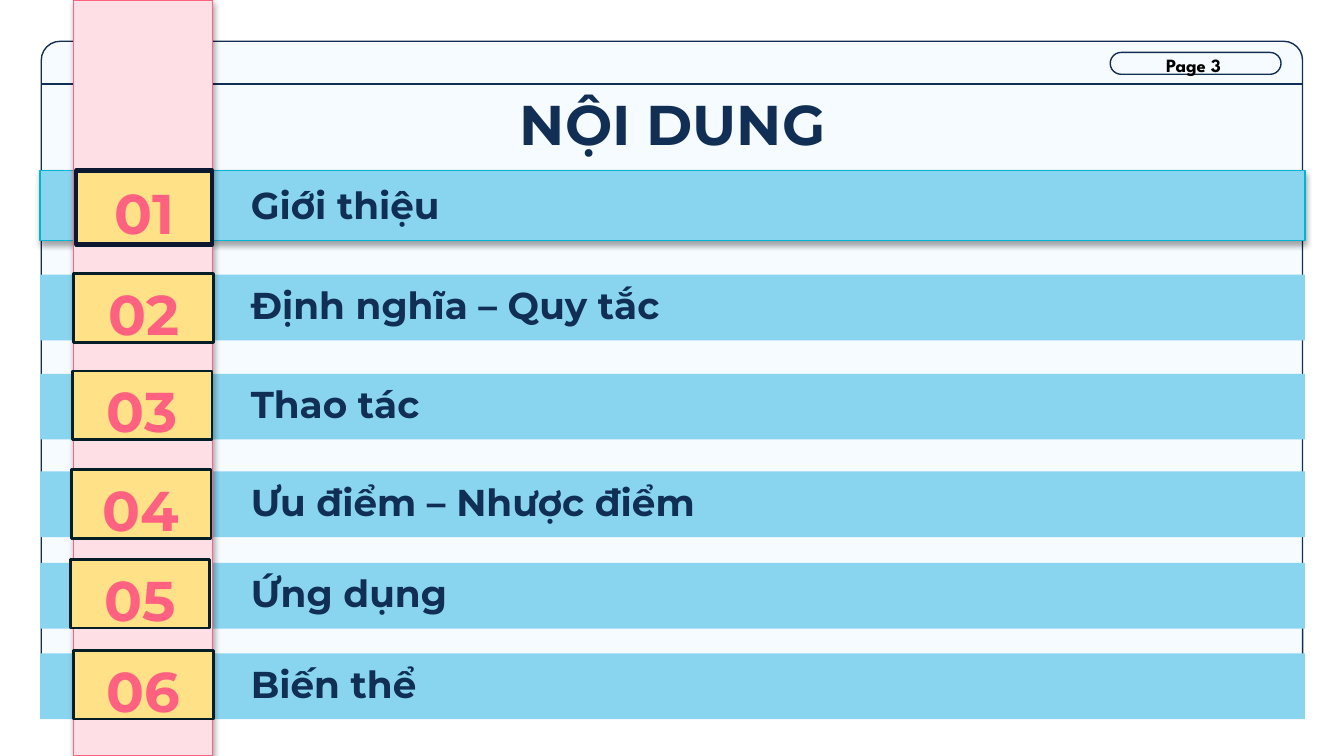
from lxml import etree
from pptx import Presentation
from pptx.enum import shapes, text
from pptx.dml.color import RGBColor
from pptx.oxml.ns import qn
from pptx.util import Pt

COLORS = {
    "paper": "F5FBFF", "navy": "112E54", "bar": "89D5EF", "teal": "00B4D3",
    "ribbon": "FFDFE6", "pink": "FF6180", "tag": "FFE188",
    "tag_edge": "051D25", "first_edge": "0B1830", "black": "000000",
}
SECTIONS = [
    ("01", "Giới thiệu", 91.5, 37.5, (40.9, 91.4, 72.8, 39.6)),
    ("02", "Định nghĩa – Quy tắc", 147.2, 35.2, (39.6, 146.7, 74.9, 36.7)),
    ("03", "Thao tác", 200.3, 35.2, (38.7, 198.8, 74.9, 36.7)),
    ("04", "Ưu điểm – Nhược điểm", 252.6, 35.2, (38.2, 251.6, 74.9, 36.7)),
    ("05", "Ứng dụng", 301.6, 35.2, (37.6, 299.8, 74.9, 36.7)),
    ("06", "Biến thể", 350.1, 35.2, (39.5, 348.5, 74.9, 36.7)),
]


def color(name):
    return RGBColor.from_string(COLORS[name])


def add_box(slide, box, fill=None, edge=None, weight=0.75,
            preset=shapes.MSO_SHAPE.RECTANGLE):
    shape = slide.shapes.add_shape(preset, *map(Pt, box))
    shape.shadow.inherit = False
    if fill:
        shape.fill.solid()
        shape.fill.fore_color.rgb = color(fill)
    else:
        shape.fill.background()
    if edge:
        shape.line.color.rgb = color(edge)
        shape.line.width = Pt(weight)
    else:
        shape.line.fill.background()
    return shape


def cast_shadow(shape):
    effects = shape._element.spPr.find(qn("a:effectLst"))
    shadow = etree.SubElement(effects, qn("a:outerShdw"), blurRad="40000",
                              dist="23000", dir="5400000", rotWithShape="0")
    black = etree.SubElement(shadow, qn("a:srgbClr"), val=COLORS["black"])
    etree.SubElement(black, qn("a:alpha"), val="35000")


def write(shape, words, size, ink, align, anchor, spacing=None,
          font="Montserrat", inset=7.2):
    frame = shape.text_frame
    frame.text = words
    frame.word_wrap = True
    frame.auto_size = text.MSO_AUTO_SIZE.NONE
    frame.vertical_anchor = anchor
    frame.margin_left = frame.margin_right = Pt(7.2)
    frame.margin_top = frame.margin_bottom = Pt(inset)
    paragraph = frame.paragraphs[0]
    paragraph.alignment = align
    if spacing:
        paragraph.line_spacing = spacing
    run_font = paragraph.runs[0].font
    run_font.name, run_font.size, run_font.bold = font, Pt(size), True
    run_font.color.rgb = color(ink)
    return paragraph


def draw_window(slide, box):
    left, top, width, height = box
    window = add_box(slide, box, "paper", "navy",
                     preset=shapes.MSO_SHAPE.ROUNDED_RECTANGLE)
    window.adjustments[0] = 0.028
    pill = add_box(slide, (left + width - 103, top + 6, 91.5, 11.7), None, "navy",
                   preset=shapes.MSO_SHAPE.ROUNDED_RECTANGLE)
    pill.adjustments[0] = 0.5
    divider = slide.shapes.add_connector(
        shapes.MSO_CONNECTOR.STRAIGHT, Pt(left), Pt(top + 23),
        Pt(left + width), Pt(top + 23))
    divider.line.color.rgb = color("navy")
    divider.line.width = Pt(0.75)
    etree.SubElement(divider._element.spPr, qn("a:effectLst"))


def draw_title(slide, box):
    title = slide.shapes.title
    title.left, title.top, title.width, title.height = map(Pt, box)
    write(title, "NỘI DUNG", 30, "navy", text.PP_ALIGN.CENTER,
          text.MSO_ANCHOR.TOP, 1.0)
    slide.shapes._spTree.append(title._element)


def draw_section_bar(slide, box, name, active):
    bar = add_box(slide, box, "bar", "teal" if active else None)
    if active:
        cast_shadow(bar)
    paragraph = write(bar, name, 20, "navy", text.PP_ALIGN.LEFT,
                      text.MSO_ANCHOR.BOTTOM, 1.15)
    properties = paragraph._p.get_or_add_pPr()
    properties.set("marL", "0")
    properties.set("indent", str(Pt(105.8)))


def draw_number_tag(slide, box, number, active):
    edge, weight = ("first_edge", 2.25) if active else ("tag_edge", 1.5)
    tag = add_box(slide, box, "tag", edge, weight)
    write(tag, number, 30, "pink", text.PP_ALIGN.CENTER,
          text.MSO_ANCHOR.MIDDLE, 1.15)


def draw_contents(slide, box):
    left, top, width, height = box
    for index, (number, name, bar_top, bar_height, tag_box) in enumerate(SECTIONS):
        draw_section_bar(slide, (left, top + bar_top, width, bar_height),
                         name, index == 0)
    ribbon = add_box(slide, (left + 18, top, 74.4, height), "ribbon", "pink")
    cast_shadow(ribbon)
    for index, (number, name, bar_top, bar_height, tag_box) in enumerate(SECTIONS):
        draw_number_tag(slide, tag_box, number, index == 0)


def draw_page_label(slide, box):
    label = slide.shapes.add_textbox(*map(Pt, box))
    write(label, "Page 3", 10, "black", text.PP_ALIGN.LEFT,
          text.MSO_ANCHOR.TOP, font="League Spartan", inset=3.6)


def main():
    deck = Presentation()
    deck.slide_width, deck.slide_height = Pt(720), Pt(405)
    slide = deck.slides.add_slide(deck.slide_layouts[5])
    draw_window(slide, (22.1, 22.1, 675.7, 360.7))
    draw_contents(slide, (21.5, 0, 677.6, 405))
    draw_title(slide, (21.5, 41, 677.6, 45.4))
    draw_page_label(slide, (617.6, 25.4, 52.6, 19.4))
    deck.save("out.pptx")


if __name__ == "__main__":
    main()
